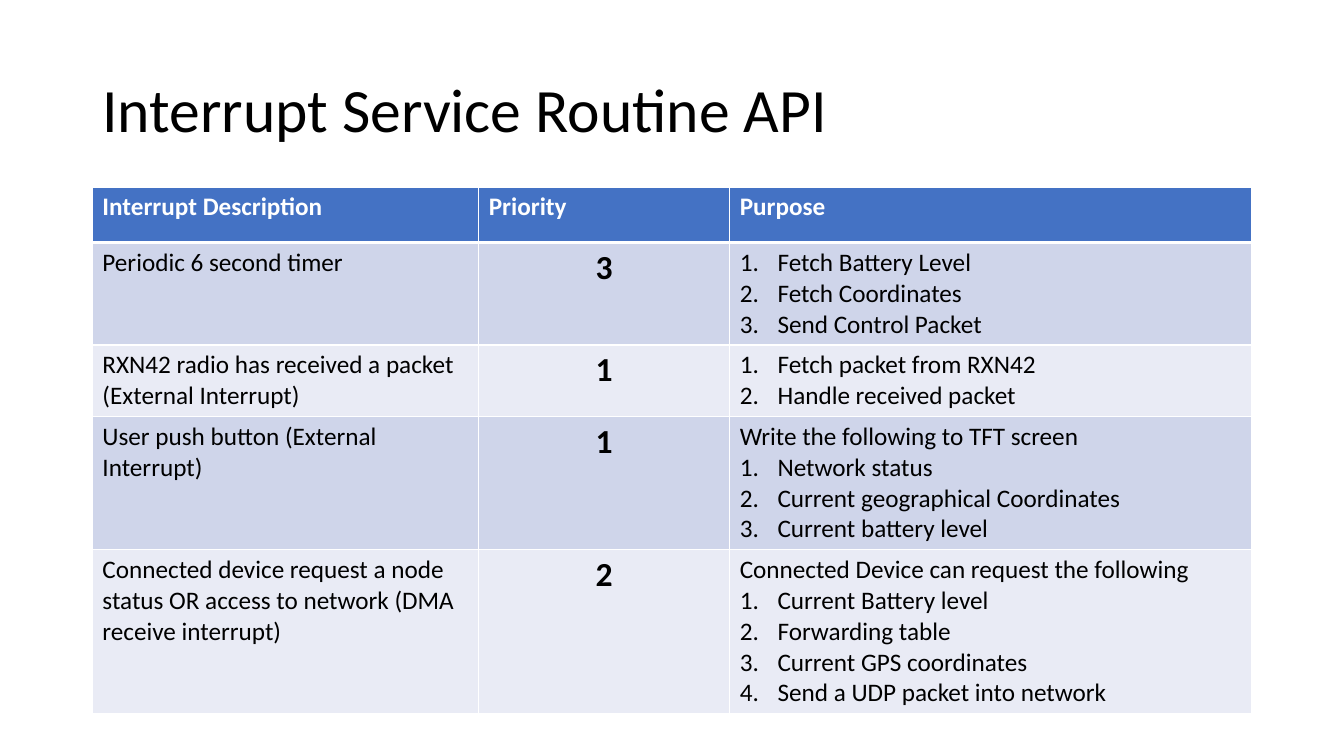
"""Build the Interrupt Service Routine API slide with its table of interrupts."""
from lxml import etree
from pptx import Presentation
from pptx.dml.color import RGBColor
from pptx.enum.text import MSO_ANCHOR, MSO_AUTO_SIZE, PP_ALIGN
from pptx.oxml.ns import qn
from pptx.util import Pt

PX = 9525
LEFT, CENTER = PP_ALIGN.LEFT, PP_ALIGN.CENTER
BLACK = RGBColor(0x00, 0x00, 0x00)
WHITE = RGBColor(0xFF, 0xFF, 0xFF)
HEADER_BLUE = RGBColor(0x44, 0x72, 0xC4)
BANDS = [RGBColor(0xCF, 0xD5, 0xEA), RGBColor(0xE9, 0xEB, 0xF5)]
NUMBER_INDENT = 36
ROW_HEIGHT = 53
COLUMN_WIDTHS = [368, 239, 497]

HEADINGS = ["Interrupt Description", "Priority", "Purpose"]
INTERRUPTS = [
    ("Periodic 6 second timer", "3", "",
     ["Fetch Battery Level", "Fetch Coordinates", "Send Control Packet"]),
    ("RXN42 radio has received a packet (External Interrupt)", "1", "",
     ["Fetch packet from RXN42", "Handle received packet"]),
    ("User push button (External Interrupt)", "1",
     "Write the following to TFT screen",
     ["Network status", "Current geographical Coordinates", "Current battery level"]),
    ("Connected device request a node status OR access to network (DMA receive interrupt)",
     "2", "Connected Device can request the following",
     ["Current Battery level", "Forwarding table", "Current GPS coordinates",
      "Send a UDP packet into network"]),
]


def write(frame, text, size=18, color=BLACK, bold=False, align=LEFT, numbered=False):
    """Write text as the next paragraph of a frame."""
    paragraph = frame.paragraphs[0] if not frame.text else frame.add_paragraph()
    if numbered:
        properties = paragraph._p.get_or_add_pPr()
        properties.set("marL", str(NUMBER_INDENT * PX))
        properties.set("indent", str(-NUMBER_INDENT * PX))
        etree.SubElement(properties, qn("a:buFont"), typeface="+mj-lt")
        etree.SubElement(properties, qn("a:buAutoNum"), type="arabicPeriod")
    paragraph.alignment = align
    run = paragraph.add_run()
    run.text = text
    run.font.name = "Calibri"
    run.font.size = Pt(size)
    run.font.bold = bold
    run.font.color.rgb = color
    return paragraph


def style_cell(cell, fill, top=1, bottom=1):
    """Give a cell white borders and a solid fill."""
    properties = cell._tc.get_or_add_tcPr()
    for side, width in (("L", 1), ("R", 1), ("T", top), ("B", bottom)):
        line = etree.SubElement(properties, qn(f"a:ln{side}"), w=str(Pt(width)))
        solid = etree.SubElement(line, qn("a:solidFill"))
        etree.SubElement(solid, qn("a:srgbClr"), val=str(WHITE))
    cell.fill.solid()
    cell.fill.fore_color.rgb = fill


deck = Presentation()
deck.slide_width, deck.slide_height = 1280 * PX, 720 * PX
slide = deck.slides.add_slide(deck.slide_layouts[5])

title = slide.shapes.title
title.left, title.top, title.width, title.height = 88 * PX, 38 * PX, 1104 * PX, 139 * PX
title.text_frame.word_wrap = True
title.text_frame.auto_size = MSO_AUTO_SIZE.NONE
title.text_frame.vertical_anchor = MSO_ANCHOR.MIDDLE
write(title.text_frame, "Interrupt Service Routine API", size=44).line_spacing = 0.9

row_count = len(INTERRUPTS) + 1
table = slide.shapes.add_table(
    row_count, len(HEADINGS), 88 * PX, 178 * PX,
    sum(COLUMN_WIDTHS) * PX, row_count * ROW_HEIGHT * PX).table
for column, width in zip(table.columns, COLUMN_WIDTHS):
    column.width = width * PX
for row in table.rows:
    row.height = ROW_HEIGHT * PX

for cell, heading in zip(table.rows[0].cells, HEADINGS):
    style_cell(cell, HEADER_BLUE, bottom=3)
    write(cell.text_frame, heading, color=WHITE, bold=True)

for index, (description, priority, intro, steps) in enumerate(INTERRUPTS):
    cells = list(table.rows[index + 1].cells)
    for cell in cells:
        style_cell(cell, BANDS[index % 2], top=3 if index == 0 else 1)
    description_frame, priority_frame, purpose_frame = [cell.text_frame for cell in cells]
    write(description_frame, description)
    write(priority_frame, priority, size=24, bold=True, align=CENTER)
    if intro:
        write(purpose_frame, intro)
    for step in steps:
        write(purpose_frame, step, numbered=True)

deck.save("out.pptx")
